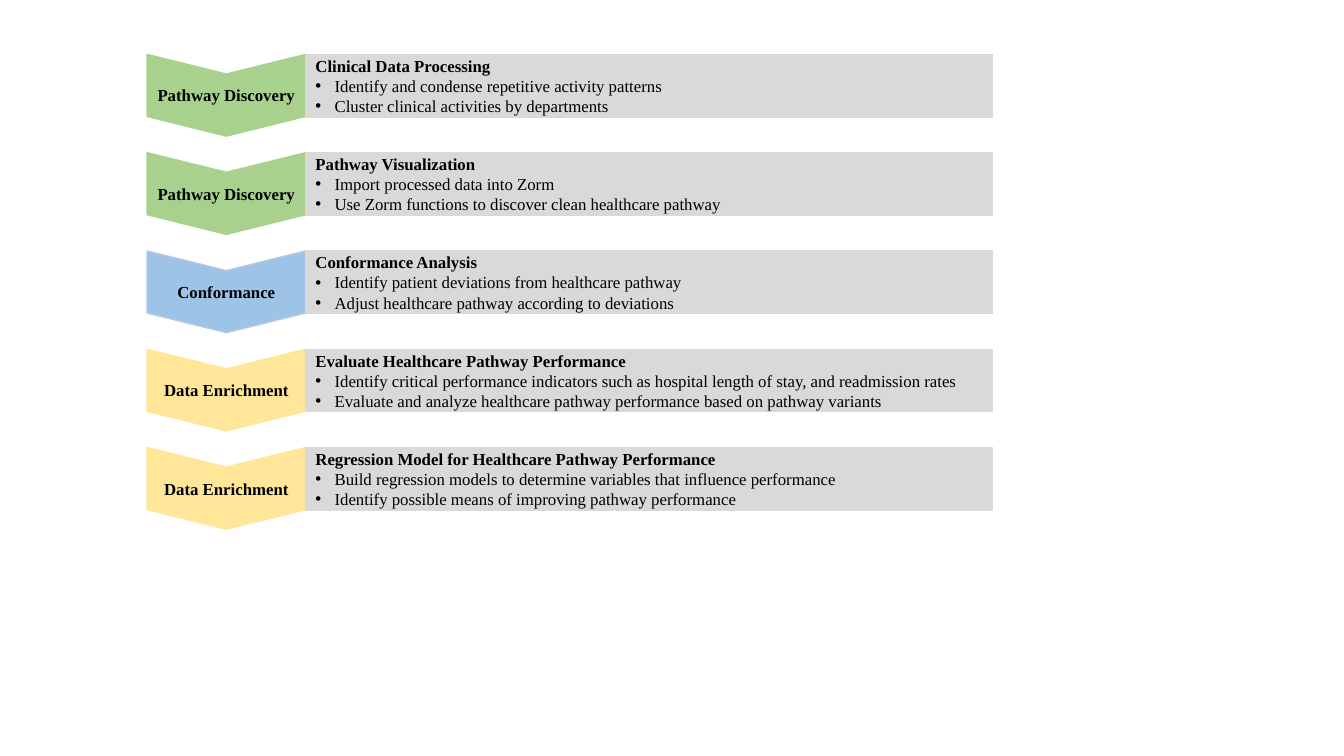
from pptx import Presentation
from pptx.dml.color import RGBColor
from pptx.enum.shapes import MSO_SHAPE as SHAPE
from pptx.enum.text import MSO_ANCHOR as ANCHOR, PP_ALIGN as ALIGN
from pptx.oxml.ns import qn
from pptx.util import Inches, Pt
from lxml.etree import SubElement

COLORS = {
    "green": "A9D18E", "blue": "9DC3E6", "blue_line": "B4C7E7",
    "yellow": "FFE699", "gray": "D9D9D9", "text": "000000",
}
FONT = "Times New Roman"
FIRST_TOP, LAST_TOP = 0.54, 4.44
PANEL_LEFT, PANEL_WIDTH, PANEL_HEIGHT = 3.03, 6.81, 0.62
CHEVRON_LEFT, CHEVRON_WIDTH, CHEVRON_HEIGHT = 1.84, 0.81, 1.57
CHEVRON_RISE = 0.38
STAGES = [
    ("Pathway Discovery", "green", "green", "Clinical Data Processing",
     ["Identify and condense repetitive activity patterns",
      "Cluster clinical activities by departments"]),
    ("Pathway Discovery", "green", "green", "Pathway Visualization",
     ["Import processed data into Zorm",
      "Use Zorm functions to discover clean healthcare pathway"]),
    ("Conformance", "blue", "blue_line", "Conformance Analysis",
     ["Identify patient deviations from healthcare pathway",
      "Adjust healthcare pathway according to deviations"]),
    ("Data Enrichment", "yellow", "yellow", "Evaluate Healthcare Pathway Performance",
     ["Identify critical performance indicators such as hospital length of stay, "
      "and readmission rates",
      "Evaluate and analyze healthcare pathway performance based on pathway variants"]),
    ("Data Enrichment", "yellow", "yellow",
     "Regression Model for Healthcare Pathway Performance",
     ["Build regression models to determine variables that influence performance",
      "Identify possible means of improving pathway performance"]),
]


def rgb(name):
    return RGBColor.from_string(COLORS[name])


def add_block(slide, kind, left, top, width, height, fill, line):
    sp = slide.shapes.add_shape(
        kind, Inches(left), Inches(top), Inches(width), Inches(height))
    sp.shadow.inherit = False
    sp.fill.solid()
    sp.fill.fore_color.rgb = rgb(fill)
    sp.line.color.rgb = rgb(line)
    sp.line.width = Pt(1)
    sp.text_frame.word_wrap = True
    sp.text_frame.vertical_anchor = ANCHOR.MIDDLE
    return sp


def set_text(p, text, align, bold):
    p.text = text
    p.alignment = align
    font = p.runs[0].font
    font.name = FONT
    font.size = Pt(12)
    font.bold = bold
    font.color.rgb = rgb("text")


def add_bullet(tf, text):
    p = tf.add_paragraph()
    set_text(p, text, ALIGN.LEFT, False)
    pPr = p._p.get_or_add_pPr()
    pPr.set("marL", str(Inches(0.19)))
    pPr.set("indent", str(-Inches(0.19)))
    SubElement(pPr, qn("a:buFont")).set("typeface", "Arial")
    SubElement(pPr, qn("a:buChar")).set("char", "•")


def add_chevron(slide, top, label, fill, line):
    sp = add_block(slide, SHAPE.CHEVRON, CHEVRON_LEFT, top - CHEVRON_RISE,
                   CHEVRON_WIDTH, CHEVRON_HEIGHT, fill, line)
    sp.rotation = 90
    sp.adjustments[0] = 0.24
    sp.element.txBody.bodyPr.set("vert", "vert270")
    set_text(sp.text_frame.paragraphs[0], label, ALIGN.CENTER, True)


def add_panel(slide, top, heading, bullets):
    sp = add_block(slide, SHAPE.RECTANGLE, PANEL_LEFT, top,
                   PANEL_WIDTH, PANEL_HEIGHT, "gray", "gray")
    tf = sp.text_frame
    set_text(tf.paragraphs[0], heading, ALIGN.LEFT, True)
    for bullet in bullets:
        add_bullet(tf, bullet)


def main():
    """Build the slide of five pathway stages, each a chevron with a text panel."""
    prs = Presentation()
    prs.slide_width, prs.slide_height = Inches(13.33), Inches(7.5)
    slide = prs.slides.add_slide(prs.slide_layouts[6])
    pitch = (LAST_TOP - FIRST_TOP) / (len(STAGES) - 1)
    for i, (label, fill, line, heading, bullets) in enumerate(STAGES):
        top = FIRST_TOP + i * pitch
        add_chevron(slide, top, label, fill, line)
        add_panel(slide, top, heading, bullets)
    prs.save("out.pptx")


main()
